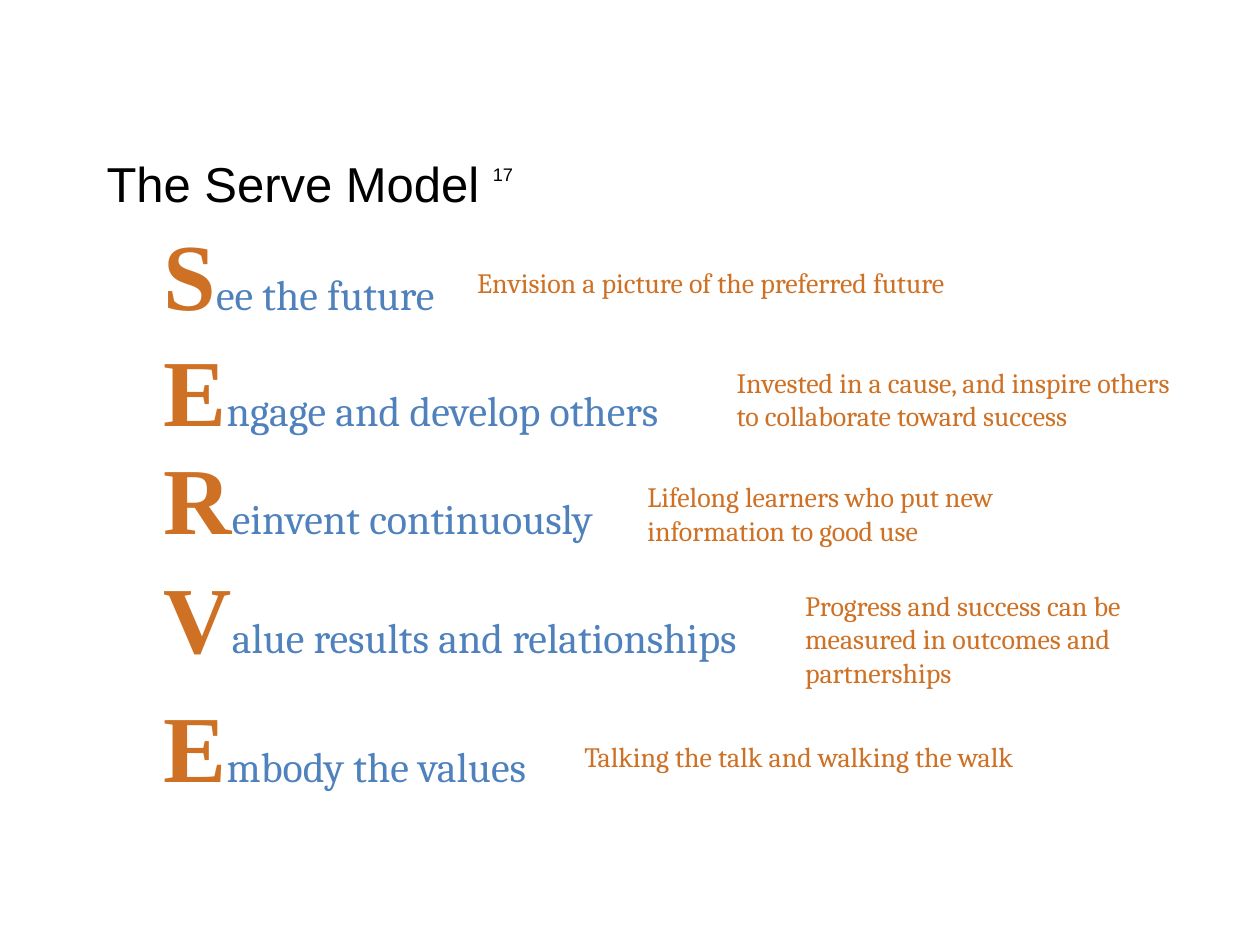
from pptx import Presentation
from pptx import util as u
from pptx.dml import color
from pptx.enum import shapes, text

ORANGE, BLUE, BLACK, WHITE = "CE7124", "4F81BD", "000000", "FFFFFF"


def paint(target, value):
    target.rgb = color.RGBColor.from_string(value)


def add_span(para, words, hue, **font):
    span = para.add_run()
    span.text = words
    for name, value in font.items():
        setattr(span.font, name, value)
    paint(span.font.color, hue)
    return span


deck = Presentation()
deck.slide_width, deck.slide_height = u.Cm(25.4), u.Cm(19.05)
page = deck.slides.add_slide(deck.slide_layouts[6])

frame_format = {"word_wrap": True, "vertical_anchor": text.MSO_ANCHOR.TOP}
letter_font = {"name": "Times New Roman", "size": u.Pt(54), "bold": True}
phrase_font = {"name": "Cambria", "size": u.Pt(24), "bold": False}
meaning_font = {"name": "Cambria", "size": u.Pt(16)}
spaced = {"line_spacing": 1.1}
plain = {"space_before": u.Pt(0)}

title = page.shapes.add_textbox(u.Cm(1.9), u.Cm(2.97), u.Cm(22.23), u.Cm(2.34))
for name, value in frame_format.items():
    setattr(title.text_frame, name, value)
para = title.text_frame.paragraphs[0]
add_span(para, "The Serve Model ", BLACK, name="Arial", size=u.Pt(28))
note = add_span(para, "17", BLACK, name="Arial", size=u.Pt(18))
note.font._element.set("baseline", "66000")

rows = [
    ("S", "ee the future", (4.01, 8.89, 2.87), spaced,
     "Envision a picture of the preferred future", (9.37, 5.23, 11.43, 0.94)),
    ("E", "ngage and develop others", (6.35, 12.9, 2.87), spaced,
     "Invested in a cause, and inspire others to collaborate toward success", (14.6, 7.24, 9.73, 1.63)),
    ("R", "einvent continuously", (8.74, 13.69, 2.57), plain,
     "Lifelong learners who put new information to good use", (12.8, 9.55, 8, 1.63)),
    ("V", "alue results and relationships", (11.15, 14.27, 2.57), plain,
     "Progress and success can be measured in outcomes and partnerships", (15.98, 11.73, 8.26, 2.31)),
    ("E", "mbody the values", (13.51, 10.13, 2.87), spaced,
     "Talking the talk and walking the walk", (11.53, 14.78, 9.88, 0.94)),
]

for letter, phrase, (top, width, height), spacing, meaning, place in rows:
    box = page.shapes.add_textbox(u.Cm(3.05), u.Cm(top), u.Cm(width), u.Cm(height))
    panel = page.shapes.add_shape(shapes.MSO_SHAPE.RECTANGLE, *map(u.Cm, place))
    panel.shadow.inherit = False
    panel.fill.solid()
    paint(panel.fill.fore_color, WHITE)
    panel.line.fill.background()
    for shape in (box, panel):
        for name, value in frame_format.items():
            setattr(shape.text_frame, name, value)

    para = box.text_frame.paragraphs[0]
    for name, value in spacing.items():
        setattr(para, name, value)
    add_span(para, letter, ORANGE, **letter_font)
    add_span(para, phrase, BLUE, **phrase_font)

    para = panel.text_frame.paragraphs[0]
    para.alignment = text.PP_ALIGN.LEFT
    para.space_after = u.Pt(12)
    add_span(para, meaning, ORANGE, **meaning_font)

deck.save("out.pptx")
